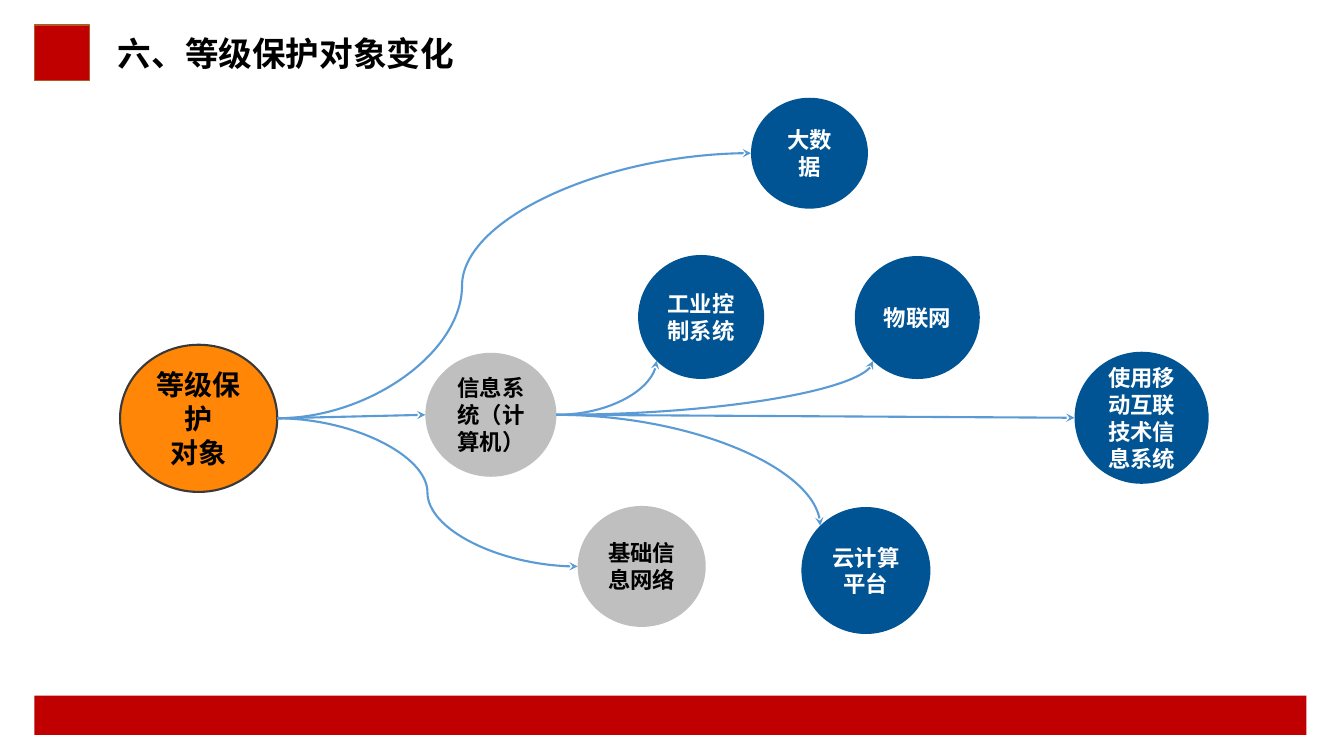
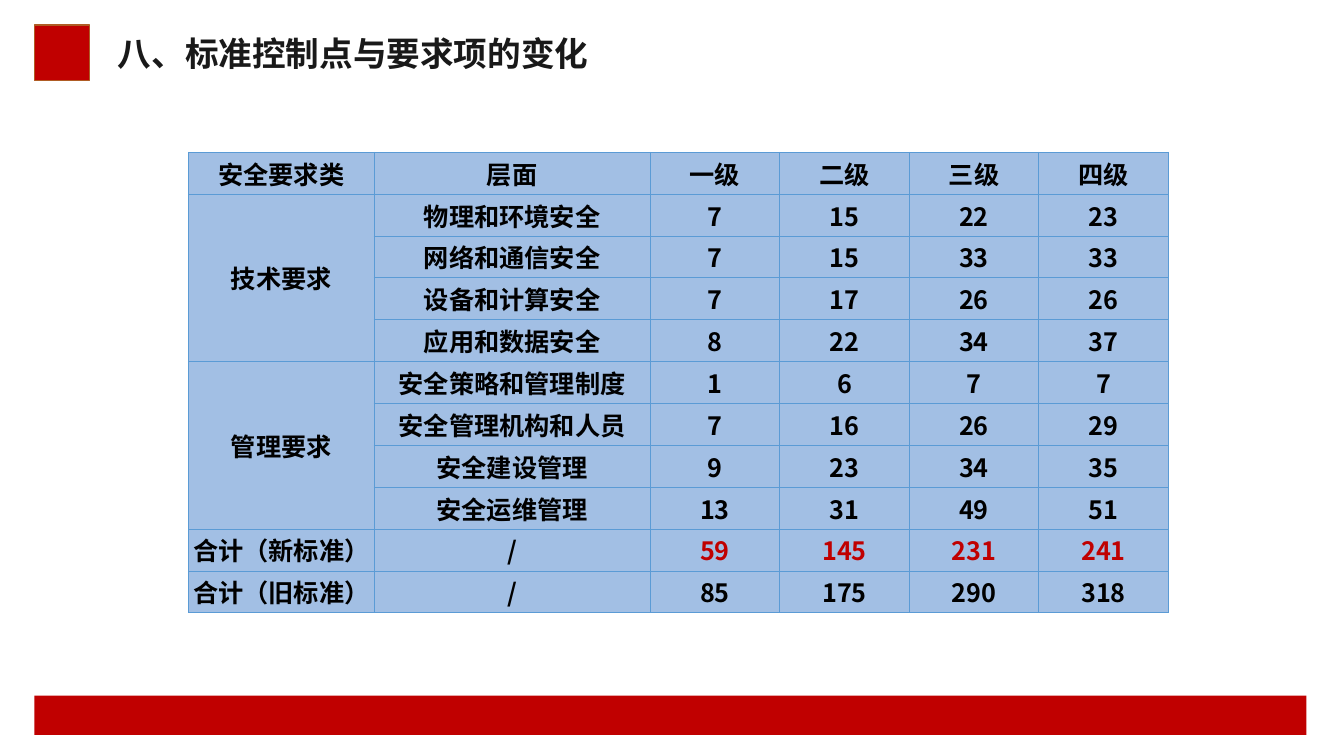
from math import sqrt

from lxml.etree import SubElement
from pptx import Presentation
from pptx.dml.color import RGBColor
from pptx.enum.shapes import MSO_CONNECTOR as Link, MSO_SHAPE as Shape
from pptx.enum.text import MSO_ANCHOR as Anchor, PP_ALIGN as Align
from pptx.oxml.ns import qn
from pptx.util import Inches, Pt

RED = RGBColor(0xC0, 0x00, 0x00)
BROWN = RGBColor(0xAF, 0x5C, 0x24)
ORANGE = RGBColor(0xFF, 0x86, 0x06)
GREY = RGBColor(0xBF, 0xBF, 0xBF)
CHARCOAL = RGBColor(0x3B, 0x38, 0x38)
NAVY = RGBColor(0x00, 0x54, 0x93)
SKY = RGBColor(0x5B, 0x9B, 0xD5)
PALE_BLUE = RGBColor(0xA2, 0xBF, 0xE4)
BLACK = RGBColor(0x00, 0x00, 0x00)
SOFT_BLACK = RGBColor(0x19, 0x19, 0x19)
WHITE = RGBColor(0xFF, 0xFF, 0xFF)


class Deck:
    """Style and current slide; all lengths are percent of the slide's size."""

    font = "Noto Sans CJK SC"

    def __init__(self):
        self.prs = Presentation()
        self.prs.slide_width, self.prs.slide_height = Inches(13.33), Inches(7.5)
        self.slide = None

    def x(self, share):
        return round(self.prs.slide_width * share / 100)

    def y(self, share):
        return round(self.prs.slide_height * share / 100)

    def box(self, left, top, width, height):
        return self.x(left), self.y(top), self.x(width), self.y(height)

    def new_slide(self, heading, color):
        self.slide = self.prs.slides.add_slide(self.prs.slide_layouts[6])
        self.shape(Shape.RECTANGLE, (2.55, 92, 94.65, 5.2), RED)
        self.shape(Shape.RECTANGLE, (2.55, 3.33, 4.13, 7.33), RED, BROWN, 1)
        title = self.slide.shapes.add_textbox(*self.box(8.03, 3.33, 41.93, 7.33))
        title.text_frame.word_wrap = True
        self.set_text(title.text_frame, heading, 24, color, Align.LEFT)

    def set_text(self, frame, text, size, color, align=Align.CENTER):
        frame.vertical_anchor = Anchor.MIDDLE
        frame.text = text
        for paragraph in frame.paragraphs:
            paragraph.alignment = align
            font = paragraph.font
            font.name, font.size, font.bold = self.font, Pt(size), True
            font.color.rgb = color
            defaults = paragraph._p.pPr.find(qn("a:defRPr"))
            SubElement(defaults, qn("a:ea"), typeface=self.font)

    def shape(self, kind, place, fill, edge=None, edge_width=0):
        shape = self.slide.shapes.add_shape(kind, *self.box(*place))
        shape.shadow.inherit = False
        shape.fill.solid()
        shape.fill.fore_color.rgb = fill
        if edge is None:
            shape.line.fill.background()
        else:
            shape.line.color.rgb = edge
            shape.line.width = Pt(edge_width)
        return shape

    def node(self, text, place, fill, color, size=16, edge=None):
        circle = self.shape(Shape.OVAL, place, fill, edge, 1.5)
        circle.text_frame.word_wrap = True
        self.set_text(circle.text_frame, text, size, color)
        return circle

    def arrow(self, source, target, side=(-1, 0), preset=None, bend=None):
        """Run from the right of source to the given side of target."""
        kind = Link.CURVE if preset else Link.STRAIGHT
        arrow = self.slide.shapes.add_connector(
            kind, *rim(source, 1, 0), *rim(target, *side))
        arrow.line.color.rgb = SKY
        arrow.line.width = Pt(1.5)
        props = arrow._element.spPr
        SubElement(props.find(qn("a:ln")), qn("a:tailEnd"), type="stealth")
        SubElement(props, qn("a:effectLst"))
        geometry = props.find(qn("a:prstGeom"))
        if preset:
            geometry.set("prst", preset)
        if bend:
            SubElement(geometry.find(qn("a:avLst")), qn("a:gd"),
                       name="adj1", fmla=f"val {round(bend * 100000)}")

    def table(self, left, top, columns, row_height, rows, red_row):
        frame = self.slide.shapes.add_table(
            len(rows), len(columns),
            *self.box(left, top, sum(columns), row_height * len(rows)))
        table = frame.table
        table.first_row = table.horz_banding = False
        for column, width in zip(table.columns, columns):
            column.width = self.x(width)
        for r, values in enumerate(rows):
            table.rows[r].height = self.y(row_height)
            for c, value in enumerate(values):
                color = RED if r == red_row and c > 1 else BLACK
                self.cell(table.cell(r, c), value, color)
        return table

    def cell(self, cell, value, color):
        cell.margin_left = cell.margin_right = 0
        cell.margin_top = cell.margin_bottom = 0
        self.set_text(cell.text_frame, str(value), 18, color)
        cell.vertical_anchor = Anchor.MIDDLE
        props = cell._tc.get_or_add_tcPr()
        for edge in ("a:lnL", "a:lnR", "a:lnT", "a:lnB"):
            line = SubElement(props, qn(edge), w=str(int(Pt(0.5))))
            paint = SubElement(line, qn("a:solidFill"))
            SubElement(paint, qn("a:srgbClr"), val=str(SKY))
        cell.fill.solid()
        cell.fill.fore_color.rgb = PALE_BLUE


def rim(oval, across, down):
    """Point on an oval's edge, in the direction (across, down)."""
    reach = 2 * sqrt(across ** 2 + down ** 2)
    return (round(oval.left + oval.width * (0.5 + across / reach)),
            round(oval.top + oval.height * (0.5 + down / reach)))


def protected_objects(deck):
    deck.new_slide("六、等级保护对象变化", BLACK)

    # Objects: root, existing kinds, new kinds
    root = deck.node("等级保护\n对象", (8.93, 45.6, 11.7, 19.47), ORANGE, BLACK,
                     20, CHARCOAL)
    info_system, base_network = [
        deck.node(text, place, GREY, BLACK) for text, place in (
            ("信息系统（计算机）", (31.65, 46.67, 9.75, 16.4)),
            ("基础信息网络", (42.98, 66.93, 9.53, 16)))]
    big_data, industrial, iot, mobile, cloud = [
        deck.node(text, place, NAVY, WHITE) for text, place in (
            ("大数据", (55.88, 12.93, 8.7, 14.67)),
            ("工业控制系统", (47.48, 33.73, 9.38, 16.4)),
            ("物联网", (63.6, 33.87, 9.3, 16.27)),
            ("使用移动互联技术信息系统", (79.95, 46.53, 9.98, 17.47)),
            ("云计算\n平台", (59.63, 67.07, 9.6, 16.8)))]

    # Relations
    deck.arrow(root, info_system)
    deck.arrow(info_system, mobile)
    deck.arrow(root, base_network, preset="curvedConnector3")
    deck.arrow(root, big_data, preset="curvedConnector3", bend=0.39)
    for target, side in ((industrial, (-1, 1)), (iot, (-1, 1)), (cloud, (-1, -1))):
        deck.arrow(info_system, target, side, "curvedConnector2")


def control_points(deck):
    deck.new_slide("八、标准控制点与要求项的变化", SOFT_BLACK)
    rows = (
        ("安全要求类", "层面", "一级", "二级", "三级", "四级"),
        ("技术要求", "物理和环境安全", 7, 15, 22, 23),
        ("", "网络和通信安全", 7, 15, 33, 33),
        ("", "设备和计算安全", 7, 17, 26, 26),
        ("", "应用和数据安全", 8, 22, 34, 37),
        ("管理要求", "安全策略和管理制度", 1, 6, 7, 7),
        ("", "安全管理机构和人员", 7, 16, 26, 29),
        ("", "安全建设管理", 9, 23, 34, 35),
        ("", "安全运维管理", 13, 31, 49, 51),
        ("合计（新标准）", "/", 59, 145, 231, 241),
        ("合计（旧标准）", "/", 85, 175, 290, 318),
    )
    levels = [9.64] * 4
    table = deck.table(14.03, 20.13, [13.8, 20.55, *levels], 5.54, rows, red_row=9)

    # Each requirement class spans its four aspects
    for first in (1, 5):
        table.cell(first, 0).merge(table.cell(first + 3, 0))


def main():
    deck = Deck()
    protected_objects(deck)
    control_points(deck)
    deck.prs.save("out.pptx")


if __name__ == "__main__":
    main()
